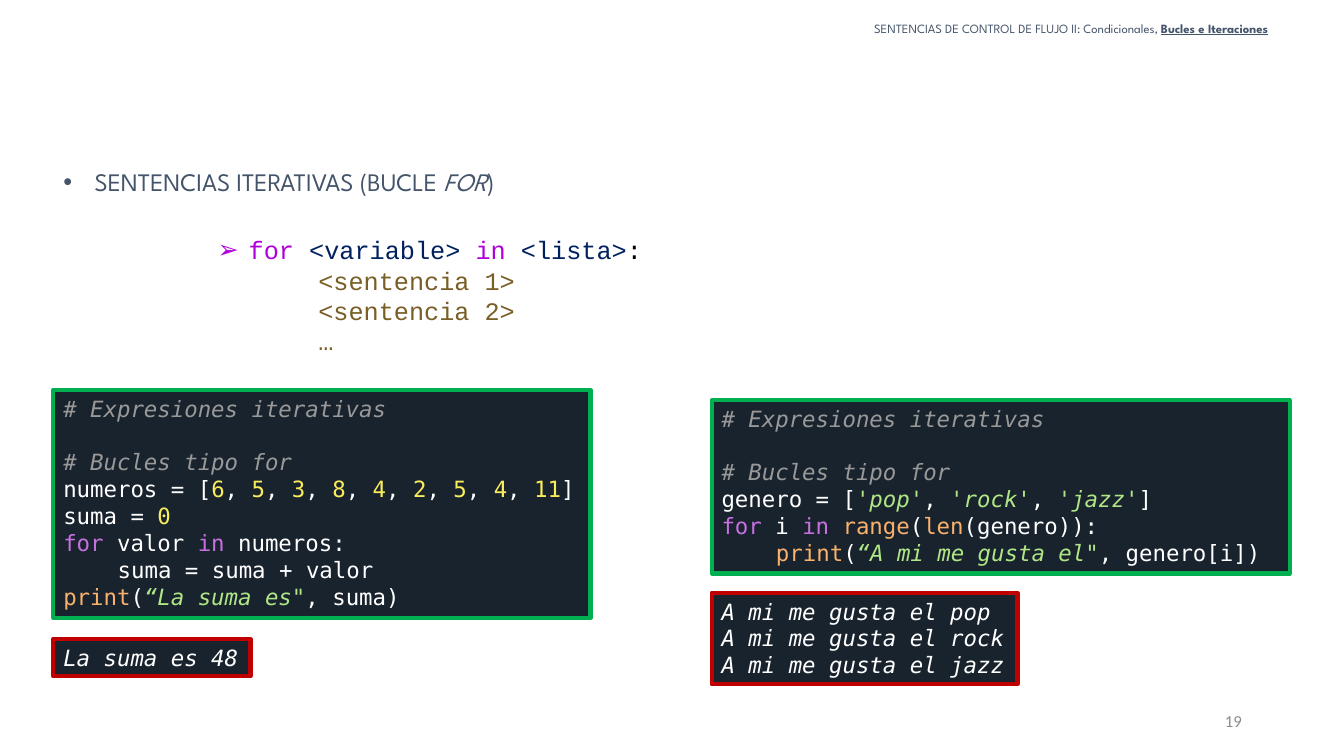
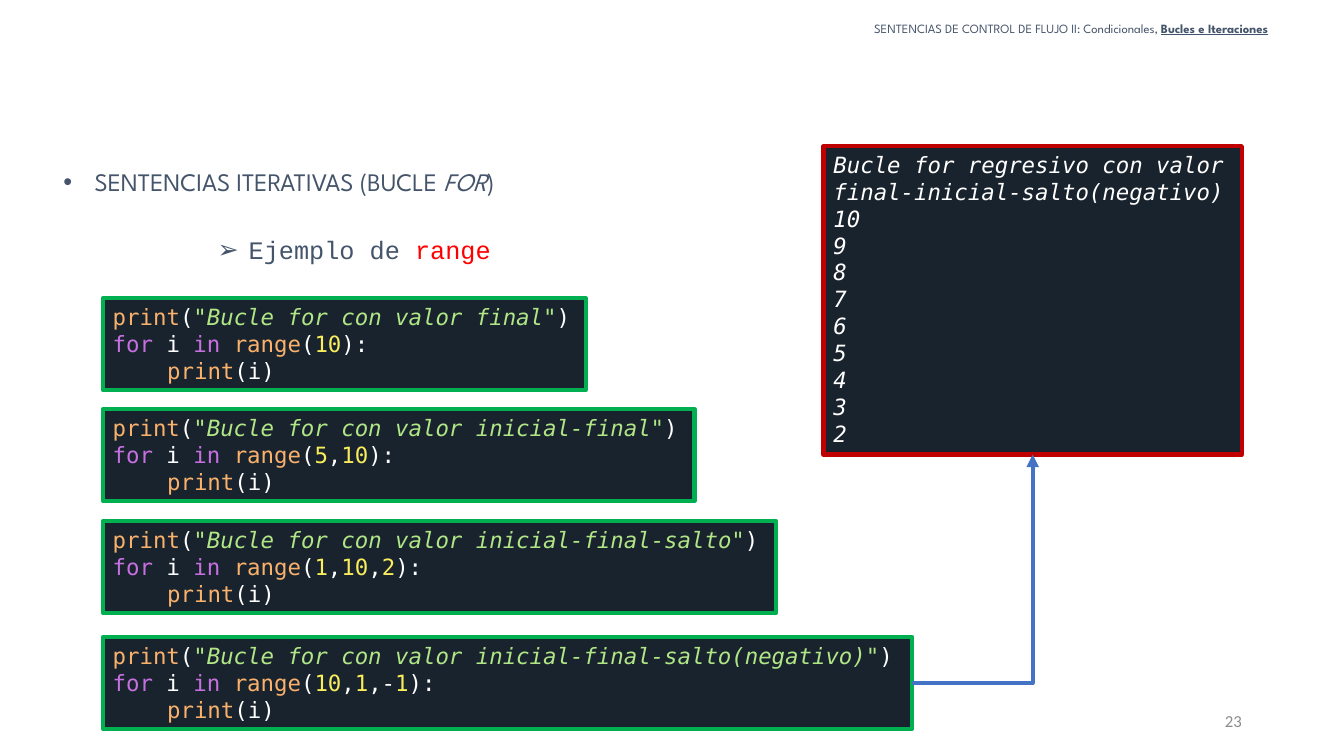
"""Build two slides about the Python for loop."""
import itertools
import lxml.etree
import pptx
import pptx.dml.color
import pptx.enum.shapes
import pptx.enum.text
import pptx.oxml.ns
import pptx.util

Inches = pptx.util.Inches
Pt = pptx.util.Pt
RGB = pptx.dml.color.RGBColor
ALIGN = pptx.enum.text.PP_ALIGN
ANCHOR = pptx.enum.text.MSO_ANCHOR
GROW = pptx.enum.text.MSO_AUTO_SIZE.SHAPE_TO_FIT_TEXT
qn = pptx.oxml.ns.qn

SLATE = RGB(0x44, 0x54, 0x6A)
GRAY = RGB(0x8C, 0x8C, 0x8C)
BLACK = RGB(0, 0, 0)
WHITE = RGB(0xFF, 0xFF, 0xFF)
NIGHT = RGB(0x19, 0x23, 0x2D)
GREEN = RGB(0x00, 0xB0, 0x50)
RED = RGB(0xC0, 0x00, 0x00)
BRIGHT = RGB(0xFF, 0x00, 0x00)
BLUE = RGB(0x44, 0x72, 0xC4)
PURPLE = RGB(0xAF, 0x00, 0xDB)
NAVY = RGB(0x00, 0x20, 0x60)
BROWN = RGB(0x79, 0x5E, 0x26)
NOTE = RGB(0x99, 0x99, 0x99)
NUMBER = RGB(0xFA, 0xED, 0x5C)
STRING = RGB(0xB0, 0xE6, 0x86)
KEY = RGB(0xC6, 0x70, 0xE0)
CALL = RGB(0xFA, 0xB1, 0x6C)
WORDS = {"for": KEY, "in": KEY, "print": CALL, "range": CALL, "len": CALL}
QUOTES = "'\"“"

SANS = "League Spartan"
MONO = "DejaVu Sans Mono"
TYPED = "Courier New"
CHAR, ROW, INSET = 0.27 / 2, 0.27, 0.1


def write(par, parts, font, size):
    """Write (text, colour, italic) parts into a paragraph."""
    for text, color, slant in parts:
        run = par.add_run()
        run.text = text
        run.font.name = font
        run.font.size = Pt(size)
        run.font.color.rgb = color
        run.font.italic = slant
    return par


def indent(par, left, first=0, mark=None):
    """Set the indents of a paragraph and its bullet."""
    props = par._p.get_or_add_pPr()
    props.set("marL", str(Inches(left)))
    props.set("indent", str(Inches(first)))
    if mark:
        lxml.etree.SubElement(props, qn("a:buFont")).set("typeface", "Arial")
        lxml.etree.SubElement(props, qn("a:buChar")).set("char", mark)


def label(slide, left, top, width, height):
    """Add a wrapping text box and return its frame."""
    box = slide.shapes.add_textbox(
        Inches(left), Inches(top), Inches(width), Inches(height))
    box.text_frame.word_wrap = True
    return box.text_frame


def tint(line):
    """Split a line of code into coloured parts."""
    if line.startswith("#"):
        return [(line, NOTE, True)]
    kinds, quoted = [], False
    for char in line:
        mark = char in QUOTES
        kinds.append("text" if quoted or mark else
                     "word" if char.isalnum() else "rest")
        quoted = quoted != mark
    parts = []
    for kind, group in itertools.groupby(zip(kinds, line), lambda pair: pair[0]):
        text = "".join(char for _, char in group)
        color = STRING if kind == "text" else WORDS.get(text, WHITE)
        if kind == "word" and text.isdigit():
            color = NUMBER
        parts.append((text, color, kind == "text"))
    merged = []
    for style, group in itertools.groupby(parts, lambda part: part[1:]):
        merged.append(("".join(part[0] for part in group), *style))
    return merged


def panel(slide, left, top, lines, edge, size, wrap=False):
    """Add a dark panel and fill it with lines of (parts, depth, gap)."""
    box = slide.shapes.add_shape(
        pptx.enum.shapes.MSO_SHAPE.RECTANGLE,
        Inches(left), Inches(top), Inches(size[0]), Inches(size[1]))
    box.shadow.inherit = False
    box.fill.solid()
    box.fill.fore_color.rgb = NIGHT
    box.line.color.rgb = edge
    box.line.width = Pt(3)
    frame = box.text_frame
    frame.word_wrap = wrap
    frame.auto_size = GROW
    frame.vertical_anchor = ANCHOR.TOP
    for index, (parts, depth, gap) in enumerate(lines):
        par = frame.add_paragraph() if index else frame.paragraphs[0]
        par.alignment = ALIGN.LEFT
        if gap:
            par.space_before = Pt(19)
        if depth:
            indent(par, depth * CHAR)
        write(par, parts, MONO, 16)
    return box


def fit(rows, spare=0):
    """Return the panel size for the rows and some spare characters."""
    count = max(map(len, rows)) + spare
    return 2 * INSET + CHAR * count, INSET + ROW * len(rows)


def code(slide, left, top, source, spare=0):
    """Add a panel of coloured code, sized to its text."""
    rows = source.split("\n")
    lines, gap = [], False
    for row in rows:
        text = row.lstrip()
        if text:
            lines.append((tint(text), len(row) - len(text), gap))
        gap = not text
    return panel(slide, left, top, lines, GREEN, fit(rows, spare))


def output(slide, left, top, rows, size=None):
    """Add a panel of printed results, wrapped if a size is given."""
    lines = [([(row, WHITE, True)], 0, False) for row in rows]
    return panel(slide, left, top, lines, RED, size or fit(rows), bool(size))


def base(deck, number):
    """Add a slide with the shared header, heading and number."""
    slide = deck.slides.add_slide(deck.slide_layouts[6])
    par = label(slide, 7.97, 0.17, 5.31, 0.28).paragraphs[0]
    par.alignment = ALIGN.CENTER
    par.line_spacing = 0.9
    write(par, [("SENTENCIAS DE CONTROL DE FLUJO II: Condicionales, ", SLATE, False),
                ("Bucles e Iteraciones", SLATE, False)], SANS, 9)
    par.runs[1].font.bold = par.runs[1].font.underline = True
    frame = label(slide, 0.53, 1.6, 5.62, 0.4)
    frame.auto_size = GROW
    par = frame.paragraphs[0]
    indent(par, 0.31, -0.31, "•")
    write(par, [("SENTENCIAS ITERATIVAS (BUCLE ", SLATE, False),
                ("FOR", SLATE, True), (")", SLATE, False)], SANS, 18)
    frame = label(slide, 9.42, 6.95, 3, 0.4)
    frame.vertical_anchor = ANCHOR.MIDDLE
    par = frame.paragraphs[0]
    par.alignment = ALIGN.RIGHT
    write(par, [(str(number), GRAY, False)], "Calibri", 12)
    return slide


def topic(slide, parts, body=()):
    """Add the arrow-bulleted line and the lines under it."""
    frame = label(slide, 0.06, 2.28, 6.67, 0.41 + 0.3 * len(body))
    frame.auto_size = GROW
    par = frame.paragraphs[0]
    indent(par, 2.31, -0.31, "➢")
    write(par, [(text, color, False) for text, color in parts], TYPED, 18)
    for text in body:
        par = frame.add_paragraph()
        indent(par, 3)
        write(par, [(text, BROWN, False)], TYPED, 18)


def elbow(slide, start, end):
    """Join the right side of one panel to the bottom of another."""
    line = slide.shapes.add_connector(
        pptx.enum.shapes.MSO_CONNECTOR.ELBOW, 0, 0, 0, 0)
    line.begin_connect(start, 3)
    line.end_connect(end, 2)
    line.line.color.rgb = BLUE
    line.line.width = Pt(3)
    props = line._element.spPr
    props.find(qn("a:prstGeom")).set("prst", "bentConnector2")
    tail = lxml.etree.SubElement(props.find(qn("a:ln")), qn("a:tailEnd"))
    tail.set("type", "triangle")
    lxml.etree.SubElement(props, qn("a:effectLst"))


def loops(deck):
    """Build the slide on the syntax of the loop."""
    slide = base(deck, 19)
    topic(slide, [("for ", PURPLE), ("<variable> ", NAVY), ("in", PURPLE),
                  (" <lista>", NAVY), (":", BLACK)],
          ["<sentencia 1>", "<sentencia 2>", "…"])
    intro = "# Expresiones iterativas\n\n# Bucles tipo for\n"
    code(slide, 0.53, 3.87, intro + """numeros = [6, 5, 3, 8, 4, 2, 5, 4, 11]
suma = 0
for valor in numeros:
    suma = suma + valor
print(“La suma es", suma)""")
    output(slide, 0.53, 6.34, ["La suma es 48"])
    code(slide, 7.06, 3.97, intro + """genero = ['pop', 'rock', 'jazz']
for i in range(len(genero)):
    print(“A mi me gusta el", genero[i])""", 1)
    output(slide, 7.06, 5.88,
           ["A mi me gusta el " + kind for kind in ("pop", "rock", "jazz")])


def ranges(deck):
    """Build the slide on the forms of range."""
    slide = base(deck, 23)
    topic(slide, [("Ejemplo de ", SLATE), ("range", BRIGHT)])
    forms = [(2.96, "final", "10"), (4.06, "inicial-final", "5,10"),
             (5.17, "inicial-final-salto", "1,10,2"),
             (6.32, "inicial-final-salto(negativo)", "10,1,-1")]
    for top, name, args in forms:
        last = code(slide, 1.02, top, f'print("Bucle for con valor {name}")\n'
                                      f"for i in range({args}):\n    print(i)")
    title = "Bucle for regresivo con valor final-inicial-salto(negativo)"
    rows = [title] + [str(count) for count in range(10, 1, -1)]
    result = output(slide, 8.17, 1.45, rows, (4.15, 3.06))
    elbow(slide, last, result)


def main():
    """Build and save the deck."""
    deck = pptx.Presentation()
    deck.slide_width = Inches(40) // 3
    deck.slide_height = Inches(7.5)
    loops(deck)
    ranges(deck)
    deck.save("out.pptx")


main()
